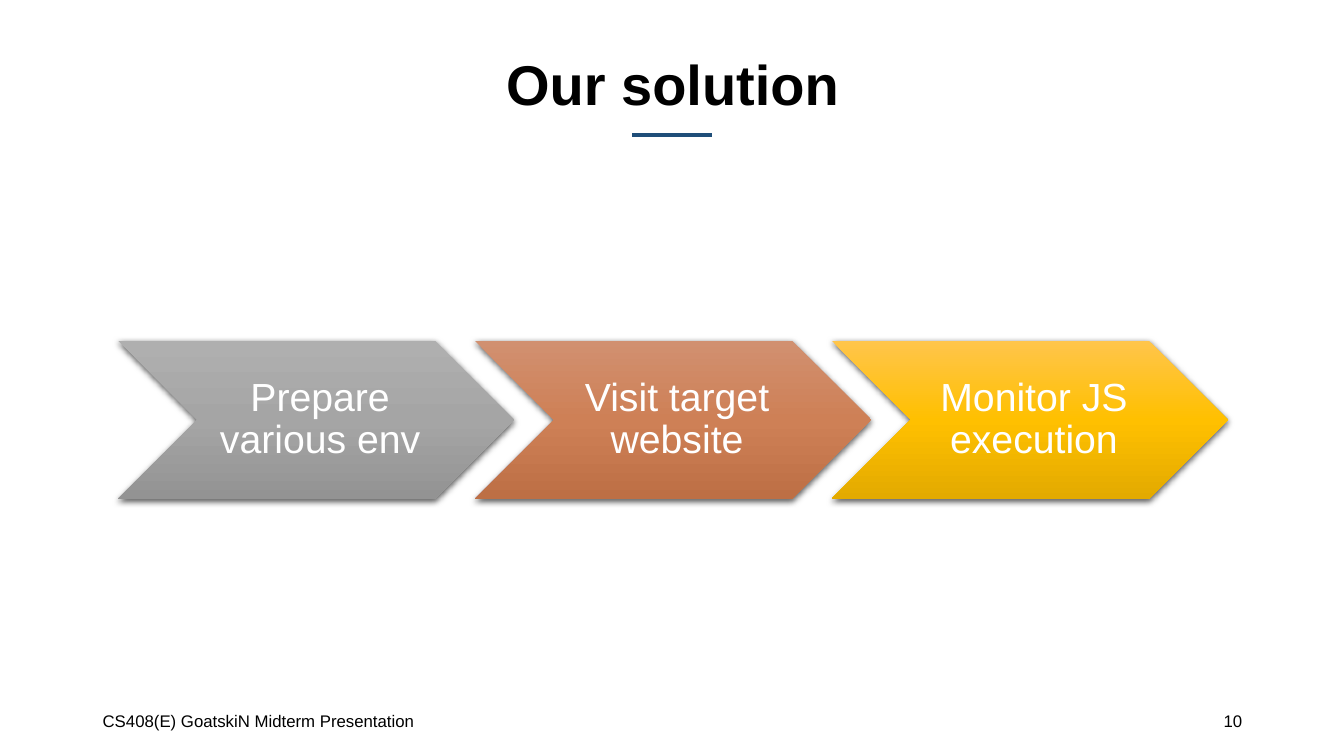
from dataclasses import dataclass

from pptx import Presentation
from pptx.dml.color import RGBColor
from pptx.enum.shapes import MSO_CONNECTOR, MSO_SHAPE
from pptx.enum.text import MSO_ANCHOR, MSO_AUTO_SIZE, PP_ALIGN
from pptx.oxml import parse_xml
from pptx.oxml.ns import nsdecls
from pptx.util import Pt

PX = 9144  # EMU; 100 px to the inch


@dataclass(frozen=True)
class Theme:
    font: str = "Arial"
    text: str = "000000"
    on_fill: str = "FFFFFF"
    accent: str = "1F4E79"
    shadow: str = "000000"
    gray: tuple = ("AFAFAF", "A5A5A5", "939393")
    orange: tuple = ("D19070", "CE8056", "BD6F45")
    gold: tuple = ("FFC54B", "FFC000", "E3AA00")
    title_size: int = 40
    step_size: int = 28
    footer_size: int = 12


class Deck:
    """Holds the theme and the current slide, and adds elements to it."""

    def __init__(self, theme, width, height):
        self.theme = theme
        self.prs = Presentation()
        self.prs.slide_width, self.prs.slide_height = width * PX, height * PX
        self.s = None

    def add_slide(self):
        self.s = self.prs.slides.add_slide(self.prs.slide_layouts[5])

    def set_text(self, sp, text, size, align, color, bold=False, spacing=1.0,
                 insets=(10, 5, 10, 5)):
        tf = sp.text_frame
        left, top, right, bottom = (v * PX for v in insets)
        frame = dict(margin_left=left, margin_top=top, margin_right=right, margin_bottom=bottom,
                     word_wrap=True, auto_size=MSO_AUTO_SIZE.NONE,
                     vertical_anchor=MSO_ANCHOR.MIDDLE)
        p = tf.paragraphs[0]
        r = p.add_run()
        r.text = text
        font = dict(name=self.theme.font, size=Pt(size), bold=bold)
        for target, values in ((tf, frame), (p, dict(alignment=align, line_spacing=spacing)),
                               (r.font, font)):
            for name, value in values.items():
                setattr(target, name, value)
        r.font.color.rgb = RGBColor.from_string(color)

    def title(self, text, *box):
        sp = self.s.shapes.title
        for name, value in zip(("left", "top", "width", "height"), box):
            setattr(sp, name, value * PX)
        self.set_text(sp, text, self.theme.title_size, PP_ALIGN.CENTER, self.theme.text,
                      bold=True, spacing=0.9)

    def rule(self, x1, x2, y, weight):
        line = self.s.shapes.add_connector(MSO_CONNECTOR.STRAIGHT, x1 * PX, y * PX, x2 * PX, y * PX)
        line.line.width = Pt(weight)
        line.line.color.rgb = RGBColor.from_string(self.theme.accent)
        line._element.spPr.append(parse_xml(f"<a:effectLst {nsdecls('a')}/>"))

    def footer(self, text, align, *box):
        sp = self.s.shapes.add_textbox(*(v * PX for v in box))
        self.set_text(sp, text, self.theme.footer_size, align, self.theme.text)

    def chevron(self, text, colors, *box):
        sp = self.s.shapes.add_shape(MSO_SHAPE.CHEVRON, *(v * PX for v in box))
        sp.line.fill.background()
        self.gradient(sp, colors)
        self.drop_shadow(sp)
        self.set_text(sp, text, self.theme.step_size, PP_ALIGN.CENTER, self.theme.on_fill,
                      spacing=0.9, insets=(12, 4, 4, 4))

    def gradient(self, sp, colors):
        """Fill from top to bottom with evenly spaced stops."""
        step = 100000 // (len(colors) - 1)
        stops = "".join(f'<a:gs pos="{i * step}"><a:srgbClr val="{c}"/></a:gs>'
                        for i, c in enumerate(colors))
        fill = parse_xml(f'<a:gradFill {nsdecls("a")} rotWithShape="1"><a:gsLst>{stops}</a:gsLst>'
                         '<a:lin ang="5400000" scaled="0"/></a:gradFill>')
        sp._element.spPr.prstGeom.addnext(fill)

    def drop_shadow(self, sp):
        sp._element.spPr.append(parse_xml(
            f'<a:effectLst {nsdecls("a")}><a:outerShdw blurRad="{Pt(4.5)}" dist="{Pt(1.5)}" '
            f'dir="5400000" algn="ctr" rotWithShape="0"><a:srgbClr val="{self.theme.shadow}">'
            '<a:alpha val="63000"/></a:srgbClr></a:outerShdw></a:effectLst>'))


def main():
    theme = Theme()
    deck = Deck(theme, 1333, 750)
    deck.add_slide()
    deck.rule(627, 706, 134, 3)
    deck.title("Our solution", 92, 39, 1150, 95)

    steps = (("Prepare various env", theme.gray),
             ("Visit target website", theme.orange),
             ("Monitor JS execution", theme.gold))
    left, top, width, height, pitch = 117, 338, 393, 157, 354
    for i, (text, colors) in enumerate(steps):
        deck.chevron(text, colors, left + i * pitch, top, width, height)

    deck.footer("CS408(E) GoatskiN Midterm Presentation", PP_ALIGN.LEFT, 92, 695, 450, 40)
    deck.footer("10", PP_ALIGN.RIGHT, 942, 695, 300, 40)
    deck.prs.save("out.pptx")


if __name__ == "__main__":
    main()
